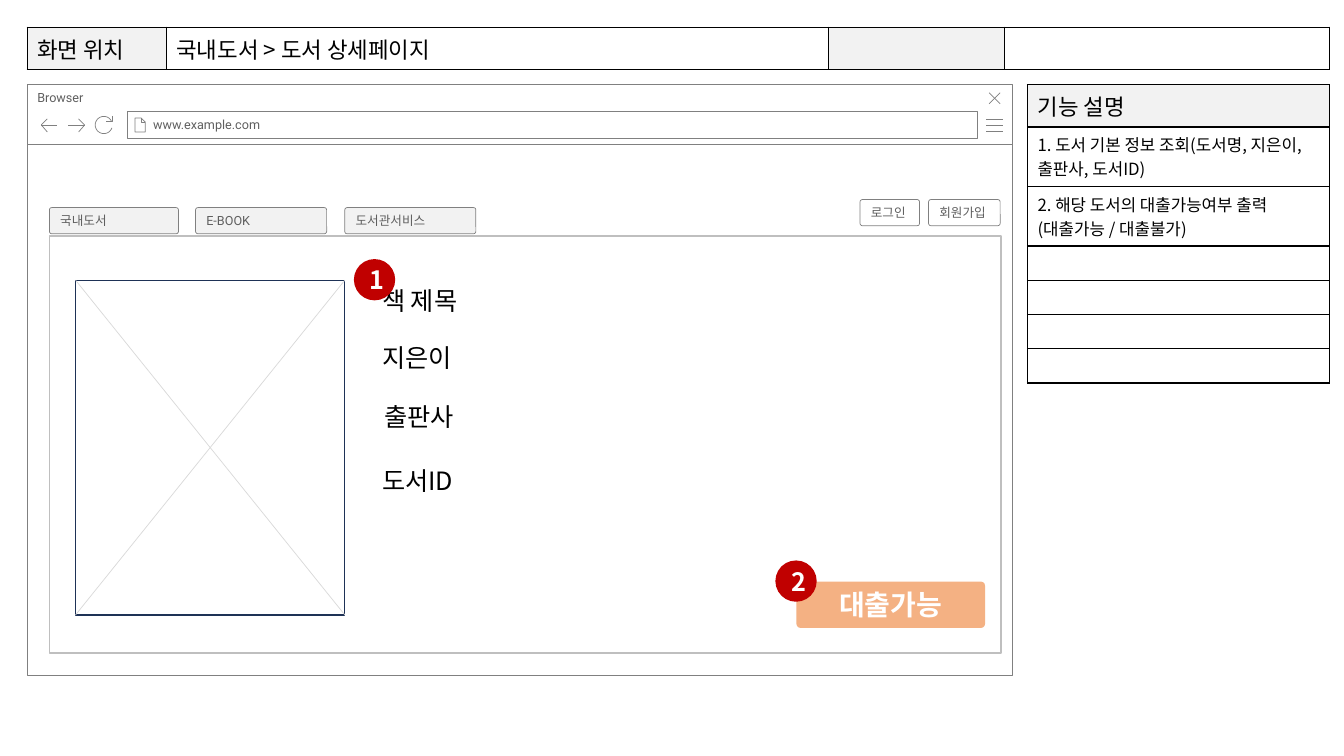
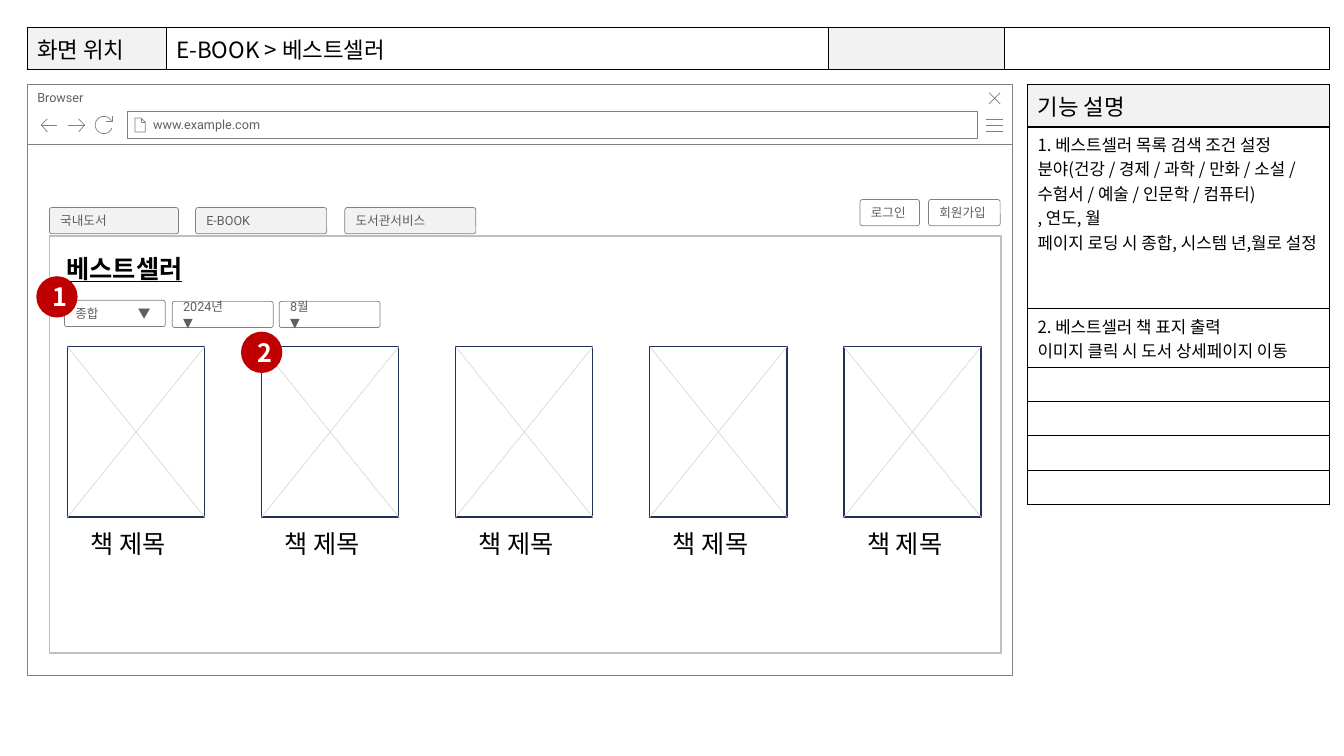
import dataclasses
import math
import lxml.etree
import pptx
import pptx.dml.color
import pptx.enum.shapes
import pptx.enum.text
import pptx.oxml.ns
import pptx.util

KIND = pptx.enum.shapes.MSO_SHAPE
ALIGN = pptx.enum.text.PP_ALIGN
ANCHOR = pptx.enum.text.MSO_ANCHOR
tag = pptx.oxml.ns.qn
Pt = pptx.util.Pt
rgb = pptx.dml.color.RGBColor.from_string


@dataclasses.dataclass(frozen=True)
class Theme:
    black: str = "000000"
    white: str = "FFFFFF"
    text: str = "5F5F5F"
    edge: str = "808080"
    frame: str = "BFBFBF"
    cross: str = "D9D9D9"
    shade: str = "F2F2F2"
    cover: str = "1E3256"
    badge: str = "C00000"
    action: str = "F4B183"
    sans: str = "Noto Sans CJK KR"
    web: str = "Roboto"
    small: int = 9
    body: int = 12
    head: int = 16
    label: int = 18
    button: int = 20


theme = Theme()
deck = pptx.Presentation()
deck.slide_width = pptx.util.Inches(13.33)
deck.slide_height = pptx.util.Inches(7.5)
col = deck.slide_width / 133.3
row = deck.slide_height / 75


def write(frame, text, size=theme.small, ink=theme.text, face=theme.web, bold=False,
          under=False, align=ALIGN.LEFT, anchor=ANCHOR.MIDDLE, wrap=True, left=1, tab=None):
    frame.word_wrap = wrap
    frame.vertical_anchor = anchor
    frame.margin_left = int(left * col)
    for i, line in enumerate(text.split("\n")):
        para = frame.add_paragraph() if i else frame.paragraphs[0]
        para.alignment = align
        if not line:
            lxml.etree.SubElement(para._p, tag("a:endParaRPr"), sz=str(size * 100))
            continue
        if tab:
            stops = lxml.etree.SubElement(para._p.get_or_add_pPr(), tag("a:tabLst"))
            lxml.etree.SubElement(stops, tag("a:tab"), pos=str(int(tab * col)), algn="l")
        run = para.add_run()
        run.text = line
        font = run.font
        font.size, font.name, font.bold, font.underline = Pt(size), face, bold, under
        font.color.rgb = rgb(ink)
        east = lxml.etree.SubElement(run._r.get_or_add_rPr(), tag("a:ea"))
        east.set("typeface", theme.sans)


def draw(shapes, kind, x, y, w, h, fill=None, edge=theme.edge, thick=0.5):
    shape = shapes.add_shape(kind, int(x * col), int(y * row), int(w * col), int(h * row))
    shape.shadow.inherit = False
    if kind == KIND.ROUNDED_RECTANGLE:
        shape.adjustments[0] = 0.088
    if fill:
        shape.fill.solid()
        shape.fill.fore_color.rgb = rgb(fill)
    else:
        shape.fill.background()
    if edge:
        shape.line.color.rgb = rgb(edge)
        shape.line.width = Pt(thick)
    else:
        shape.line.fill.background()
    return shape


pages = [
    dict(
        place="국내도서 > 도서 상세페이지",
        notes=["1. 도서 기본 정보 조회(도서명, 지은이, 출판사, 도서ID)",
               "2. 해당 도서의 대출가능여부 출력\n(대출가능 / 대출불가)"],
        rows=[5.9, 5.9],
        books=[(7.5, 27.8, 26.7, 33.2)],
        labels=[("책 제목", 36.9, 27.8), ("지은이", 36.9, 33.5),
                ("출판사", 37.1, 39.3), ("도서ID", 36.9, 45.7)],
        title=None,
        picks=[],
        action="대출가능",
        badges=[(35.1, 25.7), (76.9, 55.6)],
    ),
    dict(
        place="E-BOOK > 베스트셀러",
        notes=["1. 베스트셀러 목록 검색 조건 설정\n"
               "분야(건강 / 경제 / 과학 / 만화 / 소설 / 수험서 / 예술 / 인문학 / 컴퓨터)\n"
               ", 연도, 월\n페이지 로딩 시 종합, 시스템 년,월로 설정",
               "2. 베스트셀러 책 표지 출력\n이미지 클릭 시 도서 상세페이지 이동"],
        rows=[18, 5.8],
        books=[(6.7 + 19.25 * i, 34.4, 13.6, 16.9) for i in range(5)],
        labels=[("책 제목", 8 + 19.25 * i, 51.9) for i in range(5)],
        title="베스트셀러",
        picks=[("종합\t▼", 6.4, 29.8), ("2024년\n▼", 17.1, 29.9), ("8월\n▼", 27.7, 29.9)],
        action=None,
        badges=[(3.6, 27.4), (23.9, 32.9)],
    ),
]

blank = deck.slide_layouts[6]
for holder in list(blank.placeholders):
    blank.shapes.element.remove(holder.element)
slides = [deck.slides.add_slide(blank) for page in pages]

shapes = slides[0].shapes
parts = [draw(shapes, KIND.RECTANGLE, *spot, fill=theme.white) for spot in
         [(2.7, 14.3, 97.7, 52.7), (2.7, 8.4, 97.7, 5.9), (12.6, 11.1, 84.3, 2.6)]]
write(parts[1].text_frame, "Browser", anchor=ANCHOR.TOP)
write(parts[2].text_frame, "www.example.com", left=2.6)

arc = [(10.3 + 0.85 * math.cos(math.radians(a)), 12.4 + 0.85 * math.sin(math.radians(a)))
       for a in range(20, 331, 10)]
icons = [
    [[(97.8, y), (99.5, y)] for y in (11.8, 12.4, 13)],
    [[(99.2, 9.2), (98.1, 10.3)], [(98.1, 9.2), (99.2, 10.3)]],
    [[(14, 11.7), (14, 12.1), (14.4, 12.1)],
     [(13.4, 11.7), (13.4, 13.1), (14.4, 13.1), (14.4, 12.1), (14, 11.7), (13.4, 11.7)]],
    [[(4.7, 13.1), (4.1, 12.4), (4.7, 11.8)], [(4.1, 12.4), (5.7, 12.4)]],
    [[(7.8, 11.8), (8.4, 12.4), (7.8, 13.1)], [(8.4, 12.4), (6.7, 12.4)]],
    [[(11.1, 11.5), (11.1, 12), (10.5, 12)], arc],
]
for strokes in icons:
    pen = None
    for stroke in strokes:
        dots = [(x * 100, y * 100) for x, y in stroke]
        if pen:
            pen.move_to(*dots[0])
        else:
            pen = shapes.build_freeform(*dots[0], scale=(col / 100, row / 100))
        pen.add_line_segments(dots[1:], close=False)
    icon = pen.convert_to_shape()
    icon.shadow.inherit = False
    icon.fill.background()
    icon.line.color.rgb = rgb(theme.edge)
    icon.line.width = Pt(0.5)
    parts.append(icon)
for part in parts:
    blank.shapes.element.append(part.element)

for slide, page in zip(slides, pages):
    shapes = slide.shapes
    notes = [["기능 설명"]] + [[note] for note in page["notes"]] + [[""]] * 4
    grids = [
        (101.9, 8.4, [30], [4.2] + page["rows"] + [3.4] * 4, notes),
        (2.7, 2.7, [13.8, 65.7, 17.4, 32.3], [4.2], [["화면 위치", page["place"], "", ""]]),
    ]
    for x, y, wides, highs, texts in grids:
        frame = shapes.add_table(len(highs), len(wides), int(x * col), int(y * row),
                                 int(sum(wides) * col), int(sum(highs) * row))
        table = frame.table
        table.first_row = table.horz_banding = False
        for i, wide in enumerate(wides):
            table.columns[i].width = int(wide * col)
        for j, high in enumerate(highs):
            table.rows[j].height = int(high * row)
            for i, text in enumerate(texts[j]):
                cell = table.cell(j, i)
                cell.fill.solid()
                cell.fill.fore_color.rgb = rgb(theme.shade if j == 0 and i % 2 == 0 else theme.white)
                write(cell.text_frame, text, size=theme.head if text and j == 0 else theme.body,
                      ink=theme.black, face=theme.sans, anchor=ANCHOR.TOP)
        for props in frame.element.iter(tag("a:tcPr")):
            for k, side in enumerate(("a:lnL", "a:lnR", "a:lnT", "a:lnB")):
                edge = lxml.etree.Element(tag(side), w=str(Pt(1)))
                fill = lxml.etree.SubElement(edge, tag("a:solidFill"))
                lxml.etree.SubElement(fill, tag("a:srgbClr"), val=theme.black)
                props.insert(k, edge)

    tabs = [("로그인", 85.3, 19.8, 5.9, theme.white), ("회원가입", 92.1, 19.8, 7.1, theme.white),
            ("국내도서", 4.9, 20.6, 12.8, theme.shade), ("E-BOOK", 19.4, 20.6, 13, theme.shade),
            ("도서관서비스", 34.2, 20.6, 13, theme.shade)]
    tabs += [(text, x, y, 10, theme.white) for text, x, y in page["picks"]]
    for text, x, y, w, fill in tabs:
        tab = draw(shapes, KIND.ROUNDED_RECTANGLE, x, y, w, 2.6, fill=fill)
        write(tab.text_frame, text, wrap=y != 19.8, tab=6.2 if "\t" in text else None)
    draw(shapes, KIND.RECTANGLE, 4.9, 23.4, 94.4, 41.4, edge=theme.frame, thick=1)

    for x, y, w, h in page["books"]:
        book = shapes.add_group_shape().shapes
        draw(book, KIND.RECTANGLE, x, y, w, h, edge=theme.cover, thick=1)
        for start, end in ((x, x + w), (x + w, x)):
            line = book.add_connector(pptx.enum.shapes.MSO_CONNECTOR.STRAIGHT, int(start * col),
                                      int(y * row), int(end * col), int((y + h) * row))
            line.line.color.rgb = rgb(theme.cross)
            line.line.width = Pt(0.5)
            lxml.etree.SubElement(line.element.spPr, tag("a:effectLst"))

    labels = [(text, x, y, 10.9, False) for text, x, y in page["labels"]]
    if page["title"]:
        labels.append((page["title"], 5.6, 24.6, 14.6, True))
    for text, x, y, w, strong in labels:
        label = shapes.add_textbox(int(x * col), int(y * row), int(w * col), int(4 * row))
        write(label.text_frame, text, size=theme.label, ink=theme.black, face=theme.sans,
              bold=strong, under=strong, anchor=ANCHOR.TOP, wrap=not strong)

    if page["action"]:
        button = draw(shapes, KIND.ROUNDED_RECTANGLE, 79, 57.7, 18.7, 4.6,
                      fill=theme.action, edge=None)
        write(button.text_frame, page["action"], size=theme.button, ink=theme.white,
              bold=True, align=ALIGN.CENTER)
    for i, (x, y) in enumerate(page["badges"], 1):
        badge = draw(shapes, KIND.OVAL, x, y, 4.1, 4.1, fill=theme.badge, edge=None)
        write(badge.text_frame, str(i), size=theme.label, ink=theme.white, face=theme.sans,
              bold=True, align=ALIGN.CENTER)

deck.save("out.pptx")
